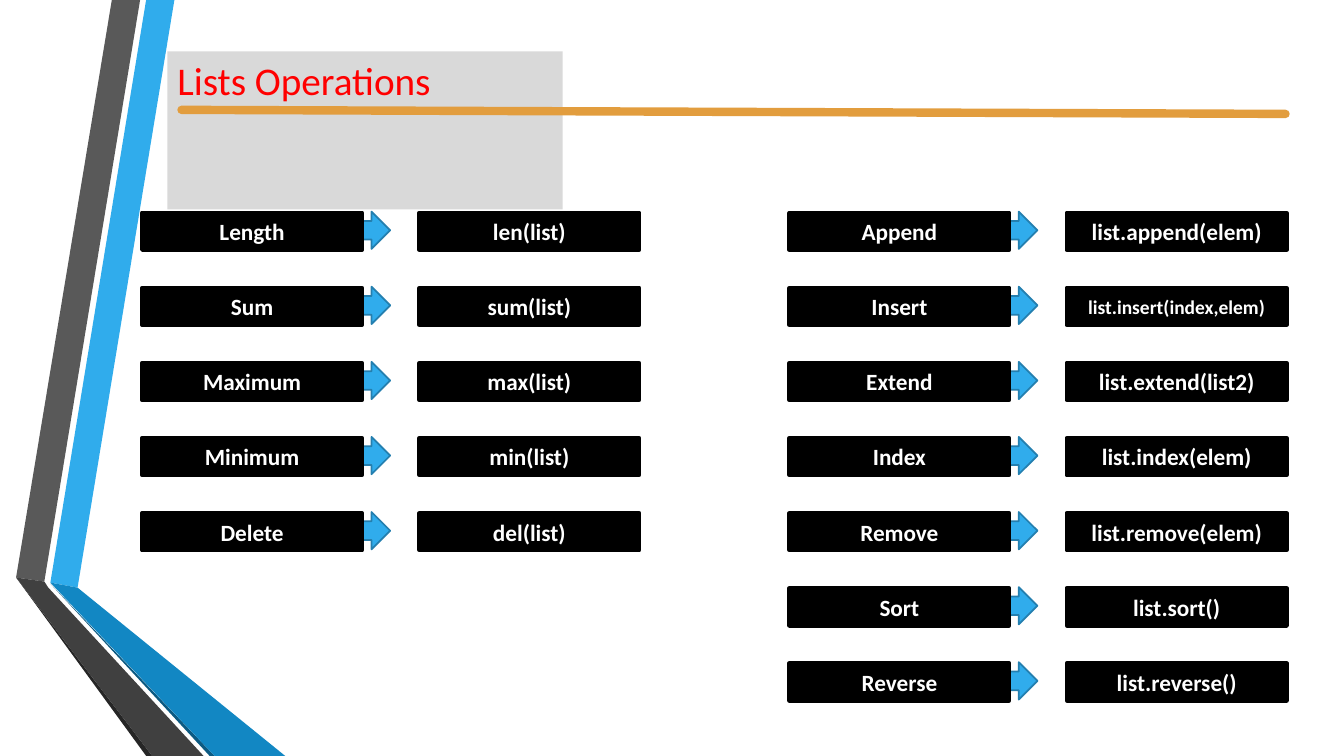
from dataclasses import dataclass

from lxml.etree import SubElement
from pptx import Presentation
from pptx.dml.color import RGBColor
from pptx.enum.shapes import MSO_CONNECTOR as Connector, MSO_SHAPE as Shape
from pptx.enum.text import MSO_ANCHOR as Anchor, MSO_AUTO_SIZE as AutoSize, PP_ALIGN as Align
from pptx.oxml.ns import qn
from pptx.util import Inches, Pt


@dataclass(frozen=True)
class Theme:
    font: str = "Calibri"
    title_size: float = 28
    label_size: float = 16.6
    small_size: float = 13.9
    box_line: float = 3
    arrow_line: float = 1.25
    rule_line: float = 6
    title: str = "FF0000"
    title_fill: str = "D9D9D9"
    rule: str = "E29D3E"
    box: str = "000000"
    box_text: str = "FFFFFF"
    arrow: str = "30ACEC"
    arrow_edge: str = "247FAF"
    blue: str = "30ACEC"
    blue_fold: str = "1287C3"
    blue_shade: str = "0C5A82"
    gray: str = "595959"
    gray_fold: str = "404040"
    gray_shade: str = "262626"


@dataclass(frozen=True)
class Ribbon:
    color: str
    points: tuple[tuple[float, float], ...]


@dataclass(frozen=True)
class Operation:
    name: str
    call: str
    call_size: float


@dataclass(frozen=True)
class Column:
    left: float
    operations: tuple[Operation, ...]


THEME = Theme()
SIZE = THEME.label_size

ROW_TOP, ROW_PITCH = 2.11, 0.745
BOX_WIDTH, BOX_HEIGHT = 2.18, 0.37
ARROW_OFFSET, ARROW_WIDTH, ARROW_RISE = 1.63, 0.83, 0.01
CALL_OFFSET = 2.75

RIBBONS = (
    Ribbon(THEME.blue, ((0.5, 5.78), (0.77, 5.83), (1.73, 0), (1.45, 0))),
    Ribbon(THEME.gray, ((1.39, 0), (1.11, 0), (0.16, 5.73), (0.44, 5.77))),
    Ribbon(THEME.gray_shade, ((0.16, 5.73), (1.45, 7.5), (1.51, 7.5))),
    Ribbon(THEME.blue_shade, ((0.5, 5.79), (2.08, 7.5), (2.13, 7.5))),
    Ribbon(THEME.blue_fold, ((0.5, 5.78), (2.13, 7.5), (2.83, 7.5), (0.77, 5.83))),
    Ribbon(THEME.gray_fold, ((2.02, 7.5), (0.48, 5.83), (0.44, 5.77), (0.16, 5.73), (1.51, 7.5))),
)

COLUMNS = (
    Column(1.41, (
        Operation("Length", "len(list)", SIZE),
        Operation("Sum", "sum(list)", SIZE),
        Operation("Maximum", "max(list)", SIZE),
        Operation("Minimum", "min(list)", SIZE),
        Operation("Delete", "del(list)", SIZE),
    )),
    Column(7.83, (
        Operation("Append", "list.append(elem)", SIZE),
        Operation("Insert", "list.insert(index,elem)", THEME.small_size),
        Operation("Extend", "list.extend(list2)", SIZE),
        Operation("Index", "list.index(elem)", SIZE),
        Operation("Remove", "list.remove(elem)", SIZE),
        Operation("Sort", "list.sort()", SIZE),
        Operation("Reverse", "list.reverse()", SIZE),
    )),
)


def rgb(color: str) -> RGBColor:
    return RGBColor.from_string(color)


def write(shape, text: str, *, size: float, color: str, bold: bool = False,
          align=Align.CENTER, anchor=Anchor.MIDDLE, auto_size=AutoSize.NONE) -> None:
    frame = shape.text_frame
    frame.word_wrap = True
    frame.auto_size = auto_size
    frame.vertical_anchor = anchor
    paragraph = frame.paragraphs[0]
    paragraph.alignment = align
    run = paragraph.add_run()
    run.text = text
    run.font.name = THEME.font
    run.font.size = Pt(size)
    run.font.bold = bold
    run.font.color.rgb = rgb(color)


def paint(shape, fill: str, edge: str | None = None, weight: float = 0) -> None:
    shape.shadow.inherit = False
    shape.fill.solid()
    shape.fill.fore_color.rgb = rgb(fill)
    if edge is None:
        shape.line.fill.background()
    else:
        shape.line.color.rgb = rgb(edge)
        shape.line.width = Pt(weight)


def draw_ribbon(slide, ribbon: Ribbon) -> None:
    start, *rest = [(Inches(x), Inches(y)) for x, y in ribbon.points]
    outline = slide.shapes.build_freeform(*start)
    outline.add_line_segments(rest, close=True)
    paint(outline.convert_to_shape(), ribbon.color)


def draw_title(slide) -> None:
    title = slide.shapes.title
    title.left, title.top = Inches(1.66), Inches(0.51)
    title.width, title.height = Inches(3.92), Inches(0.57)
    title.fill.solid()
    title.fill.fore_color.rgb = rgb(THEME.title_fill)
    write(title, "Lists Operations", size=THEME.title_size, color=THEME.title,
          align=Align.LEFT, anchor=Anchor.TOP, auto_size=AutoSize.SHAPE_TO_FIT_TEXT)


def draw_rule(slide) -> None:
    rule = slide.shapes.add_connector(
        Connector.STRAIGHT, Inches(1.8), Inches(1.09), Inches(12.75), Inches(1.13))
    rule.line.color.rgb = rgb(THEME.rule)
    rule.line.width = Pt(THEME.rule_line)
    rule.line._get_or_add_ln().set("cap", "rnd")
    SubElement(rule._element.spPr, qn("a:effectLst"))


def draw_box(slide, left: float, top: float, text: str, size: float) -> None:
    box = slide.shapes.add_shape(
        Shape.RECTANGLE, Inches(left), Inches(top), Inches(BOX_WIDTH), Inches(BOX_HEIGHT))
    paint(box, THEME.box, THEME.box, THEME.box_line)
    write(box, text, size=size, color=THEME.box_text, bold=True)


def draw_operation(slide, left: float, top: float, operation: Operation) -> None:
    arrow = slide.shapes.add_shape(
        Shape.RIGHT_ARROW, Inches(left + ARROW_OFFSET), Inches(top - ARROW_RISE),
        Inches(ARROW_WIDTH), Inches(BOX_HEIGHT))
    paint(arrow, THEME.arrow, THEME.arrow_edge, THEME.arrow_line)
    draw_box(slide, left, top, operation.name, THEME.label_size)
    draw_box(slide, left + CALL_OFFSET, top, operation.call, operation.call_size)


def main() -> None:
    deck = Presentation()
    deck.slide_width, deck.slide_height = Inches(13.33), Inches(7.5)
    slide = deck.slides.add_slide(deck.slide_layouts[5])
    for ribbon in RIBBONS:
        draw_ribbon(slide, ribbon)
    draw_title(slide)
    draw_rule(slide)
    for column in COLUMNS:
        for row, operation in enumerate(column.operations):
            draw_operation(slide, column.left, ROW_TOP + row * ROW_PITCH, operation)
    deck.save("out.pptx")


if __name__ == "__main__":
    main()
